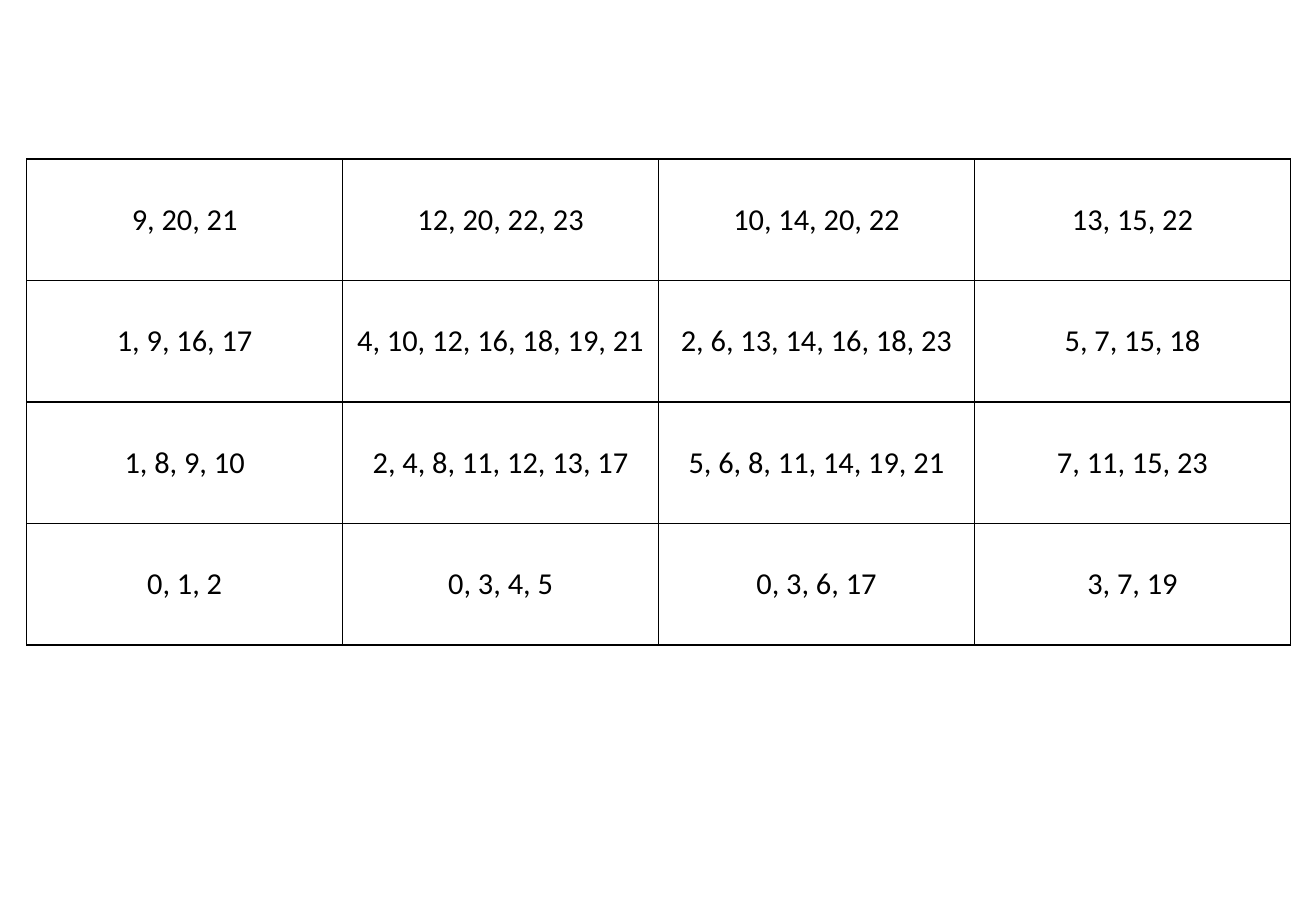
import pptx
import pptx.dml.color
import pptx.enum.text
import pptx.oxml.ns
import pptx.util
from lxml import etree

NUMBER_SETS = [
    ["9, 20, 21", "12, 20, 22, 23", "10, 14, 20, 22", "13, 15, 22"],
    ["1, 9, 16, 17", "4, 10, 12, 16, 18, 19, 21", "2, 6, 13, 14, 16, 18, 23", "5, 7, 15, 18"],
    ["1, 8, 9, 10", "2, 4, 8, 11, 12, 13, 17", "5, 6, 8, 11, 14, 19, 21", "7, 11, 15, 23"],
    ["0, 1, 2", "0, 3, 4, 5", "0, 3, 6, 17", "3, 7, 19"],
]
COLOURS = {"ink": "000000", "paper": "FFFFFF"}
FONT_NAME = "Calibri"
FONT_SIZE = pptx.util.Pt(18)
BORDER_WIDTH = pptx.util.Pt(1)
SLIDE_WIDTH = pptx.util.Inches(10.83)
SLIDE_HEIGHT = pptx.util.Inches(7.5)
TABLE_LEFT = pptx.util.Inches(0.22)
TABLE_TOP = pptx.util.Inches(1.31)
COLUMN_WIDTH = pptx.util.Inches(2.6)
ROW_HEIGHT = pptx.util.Inches(1)
SIDE_MARGIN = pptx.util.Inches(0.11)
END_MARGIN = pptx.util.Inches(0.05)


def add_borders(cell):
    properties = cell._tc.get_or_add_tcPr()
    for position, side in enumerate(("lnL", "lnR", "lnT", "lnB")):
        line = etree.Element(pptx.oxml.ns.qn("a:" + side), w=str(BORDER_WIDTH))
        fill = etree.SubElement(line, pptx.oxml.ns.qn("a:solidFill"))
        etree.SubElement(fill, pptx.oxml.ns.qn("a:srgbClr"), val=COLOURS["ink"])
        properties.insert(position, line)


def fill_cell(cell, text):
    cell.text_frame.text = text
    cell.vertical_anchor = pptx.enum.text.MSO_ANCHOR.MIDDLE
    cell.margin_left = cell.margin_right = SIDE_MARGIN
    cell.margin_top = cell.margin_bottom = END_MARGIN
    cell.fill.solid()
    cell.fill.fore_color.rgb = pptx.dml.color.RGBColor.from_string(COLOURS["paper"])
    paragraph = cell.text_frame.paragraphs[0]
    paragraph.alignment = pptx.enum.text.PP_ALIGN.CENTER
    font = paragraph.runs[0].font
    font.name = FONT_NAME
    font.size = FONT_SIZE
    font.bold = False
    font.color.rgb = pptx.dml.color.RGBColor.from_string(COLOURS["ink"])
    add_borders(cell)


def main():
    presentation = pptx.Presentation()
    presentation.slide_width = SLIDE_WIDTH
    presentation.slide_height = SLIDE_HEIGHT
    slide = presentation.slides.add_slide(presentation.slide_layouts[6])
    row_count, column_count = len(NUMBER_SETS), len(NUMBER_SETS[0])
    table = slide.shapes.add_table(
        row_count, column_count, TABLE_LEFT, TABLE_TOP,
        COLUMN_WIDTH * column_count, ROW_HEIGHT * row_count,
    ).table
    table.first_row = False
    table.horz_banding = False
    for row, texts in enumerate(NUMBER_SETS):
        for column, text in enumerate(texts):
            fill_cell(table.cell(row, column), text)
    presentation.save("out.pptx")


if __name__ == "__main__":
    main()
